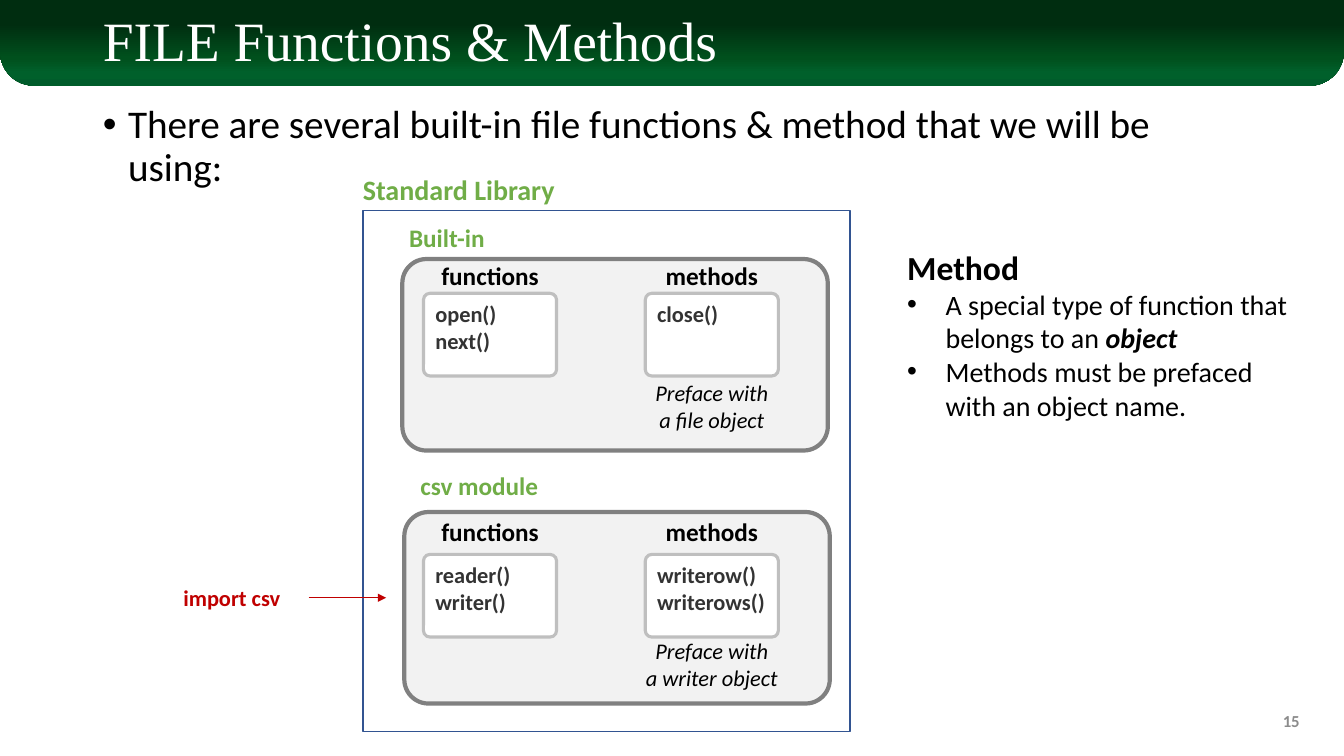
from collections import namedtuple
from dataclasses import dataclass

from lxml.etree import SubElement
from pptx import Presentation
from pptx.dml.color import RGBColor
from pptx.enum.shapes import MSO_CONNECTOR, MSO_SHAPE
from pptx.enum.text import MSO_ANCHOR, MSO_AUTO_SIZE, PP_ALIGN
from pptx.oxml.ns import qn
from pptx.util import Pt

SCALE = 9144  # EMU in one px, 100 px to the inch

Box = namedtuple("Box", "x y w h")
Column = namedtuple("Column", "head width names note")
Rows = namedtuple("Rows", "caption head card note")


@dataclass(frozen=True)
class Theme:
    sans: str = "Calibri"
    serif: str = "Times New Roman"
    black: str = "000000"
    white: str = "FFFFFF"
    green: str = "70AD47"
    red: str = "C00000"
    blue: str = "325491"
    code: str = "333333"
    number: str = "8C8C8C"
    panel: str = "F2F2F2"
    edge: str = "808080"
    rim: str = "BFBFBF"
    bar: tuple = ((28, "002D10"), (68, "00501D"), (85, "00602B"), (100, "005C2B"))
    title: float = 39.6
    body: int = 28
    lead: int = 24
    large: int = 20
    label: int = 18
    small: int = 16
    tiny: int = 12


THEME = Theme()


def px(*sizes):
    return [round(size * SCALE) for size in sizes]


def rgb(code):
    return RGBColor.from_string(code)


def style(par, size, color=THEME.black, bold=False, italic=False,
          face=THEME.sans, align=PP_ALIGN.LEFT):
    par.alignment = align
    for run in par.runs:
        font = run.font
        font.name, font.size, font.bold, font.italic = face, Pt(size), bold, italic
        font.color.rgb = rgb(color)


def bullet(par, indent):
    props = par._p.get_or_add_pPr()
    step, = px(indent)
    props.set("marL", str(step))
    props.set("indent", str(-step))
    SubElement(props, qn("a:buFont"), typeface="Arial")
    SubElement(props, qn("a:buChar"), char="•")


def text(slide, box, words, size, wrap=False, **look):
    frame = slide.shapes.add_textbox(*px(*box)).text_frame
    frame.word_wrap = wrap
    frame.auto_size = MSO_AUTO_SIZE.SHAPE_TO_FIT_TEXT
    frame.text = words
    for par in frame.paragraphs:
        style(par, size, **look)
    return frame


def block(slide, kind, box, fill, line, width, *bends):
    shape = slide.shapes.add_shape(kind, *px(*box))
    shape.shadow.inherit = False
    for i, bend in enumerate(bends):
        shape.adjustments[i] = bend
    if fill:
        shape.fill.solid()
        shape.fill.fore_color.rgb = rgb(fill)
    else:
        shape.fill.background()
    if line:
        shape.line.color.rgb = rgb(line)
        shape.line.width = Pt(width)
    else:
        shape.line.fill.background()
    return shape


def header(slide, box):
    bar = block(slide, MSO_SHAPE.ROUND_2_SAME_RECTANGLE, box, None, None, 0, 0, 0.4)
    bar.fill.gradient()
    bar.fill.gradient_angle = 270
    stops = bar.element.spPr.find(qn("a:gradFill")).find(qn("a:gsLst"))
    for stop in list(stops):
        stops.remove(stop)
    for place, code in THEME.bar:
        stop = SubElement(stops, qn("a:gs"), pos=str(place * 1000))
        SubElement(stop, qn("a:srgbClr"), val=code)
    title = slide.shapes.title
    title.element.addprevious(bar.element)
    title.left, title.top, title.width, title.height = px(box.x + 92, box.y + 13, 1150, 61)
    frame = title.text_frame
    frame.text = "FILE Functions & Methods"
    frame.vertical_anchor = MSO_ANCHOR.MIDDLE
    par = frame.paragraphs[0]
    par.line_spacing = 0.9
    style(par, THEME.title, THEME.white, face=THEME.serif)


def intro(slide, box):
    body = slide.placeholders[1]
    body.left, body.top, body.width, body.height = px(*box)
    body.text_frame.text = ("There are several built-in file functions & method "
                            "that we will be using:")
    par = body.text_frame.paragraphs[0]
    par.line_spacing, par.space_before = 0.9, Pt(10)
    style(par, THEME.body)
    bullet(par, 25)


def card(slide, box, names):
    shape = block(slide, MSO_SHAPE.ROUNDED_RECTANGLE, box, THEME.white, THEME.rim, 2.25, 0.079)
    frame = shape.text_frame
    frame.vertical_anchor = MSO_ANCHOR.TOP
    frame.text = names
    for par in frame.paragraphs:
        style(par, THEME.small, THEME.code, bold=True)


def panel(slide, box, caption, rows, first, columns):
    """Draw a captioned panel; rows are offsets from its top, first is the left card's x."""
    x, y, w, h = box
    block(slide, MSO_SHAPE.ROUNDED_RECTANGLE, box, THEME.panel, THEME.edge, 3, 0.126)
    name, shift, wide = caption
    text(slide, (x + shift, y + rows.caption, wide, 40), name, THEME.label,
         color=THEME.green, bold=True)
    for i, col in enumerate(columns):
        left = first + 220 * i
        mid = left + 66
        card(slide, (left, y + rows.card, 132, 82), col.names)
        text(slide, (mid - col.width / 2, y + rows.head, col.width, 40), col.head,
             THEME.label, bold=True, align=PP_ALIGN.CENTER)
        if col.note:
            words, wide = col.note
            text(slide, (mid - wide / 2, y + rows.note, wide, 64), words,
                 THEME.small, italic=True, align=PP_ALIGN.CENTER)


def library(slide, box):
    x, y, w, h = box
    first = x + 60
    text(slide, (x - 10, y - 43, 212, 44), "Standard Library", THEME.large,
         color=THEME.green, bold=True)
    panel(slide, Box(x + 39, y + 48, 422, 190), ("Built-in", -3, 96),
          Rows(-41, -4, 34, 114), first,
          [Column("functions", 118, "open()\nnext()", None),
           Column("methods", 112, "close()", ("Preface with\na file object", 134))])
    panel(slide, Box(x + 41, y + 299, 422, 190), ("csv module", 6, 138),
          Rows(-46, -1, 42, 119), first,
          [Column("functions", 118, "reader()\nwriter()", None),
           Column("methods", 112, "writerow()\nwriterows()",
                  ("Preface with\na writer object", 157))])
    block(slide, MSO_SHAPE.RECTANGLE, box, None, THEME.blue, 1)


def method(slide, box):
    frame = text(slide, box, "Method\nA special type of function that belongs to an \n"
                 "Methods must be prefaced with an object name.", THEME.large, wrap=True)
    lead, *items = frame.paragraphs
    style(lead, THEME.lead, bold=True)
    items[0].add_run().text = "object"
    style(items[0], THEME.large)
    term = items[0].runs[-1].font
    term.bold = term.italic = True
    for par in items:
        bullet(par, 38)


def pointer(slide, box):
    text(slide, box, "import csv", THEME.small, wrap=True, color=THEME.red,
         bold=True, align=PP_ALIGN.CENTER)
    start, level = box.x + box.w + 4, box.y + 18
    arrow = slide.shapes.add_connector(MSO_CONNECTOR.STRAIGHT,
                                       *px(start, level, start + 77, level))
    arrow.line.color.rgb = rgb(THEME.red)
    arrow.line.width = Pt(0.5)
    SubElement(arrow.line._get_or_add_ln(), qn("a:tailEnd"), type="triangle")
    SubElement(arrow.element.spPr, qn("a:effectLst"))


def number(slide, box):
    frame = text(slide, box, "15", THEME.tiny, wrap=True, color=THEME.number,
                 bold=True, align=PP_ALIGN.RIGHT)
    frame.auto_size = MSO_AUTO_SIZE.NONE
    frame.vertical_anchor = MSO_ANCHOR.MIDDLE


def main():
    deck = Presentation()
    deck.slide_width, deck.slide_height = px(1333, 750)
    slide = deck.slides.add_slide(deck.slide_layouts[1])
    header(slide, Box(0, 0, 1333, 85))
    intro(slide, Box(92, 99, 1150, 577))
    library(slide, Box(360, 209, 483, 517))
    method(slide, Box(890, 240, 416, 215))
    pointer(slide, Box(158, 575, 144, 37))
    number(slide, Box(999, 695, 300, 40))
    deck.save("out.pptx")


if __name__ == "__main__":
    main()
